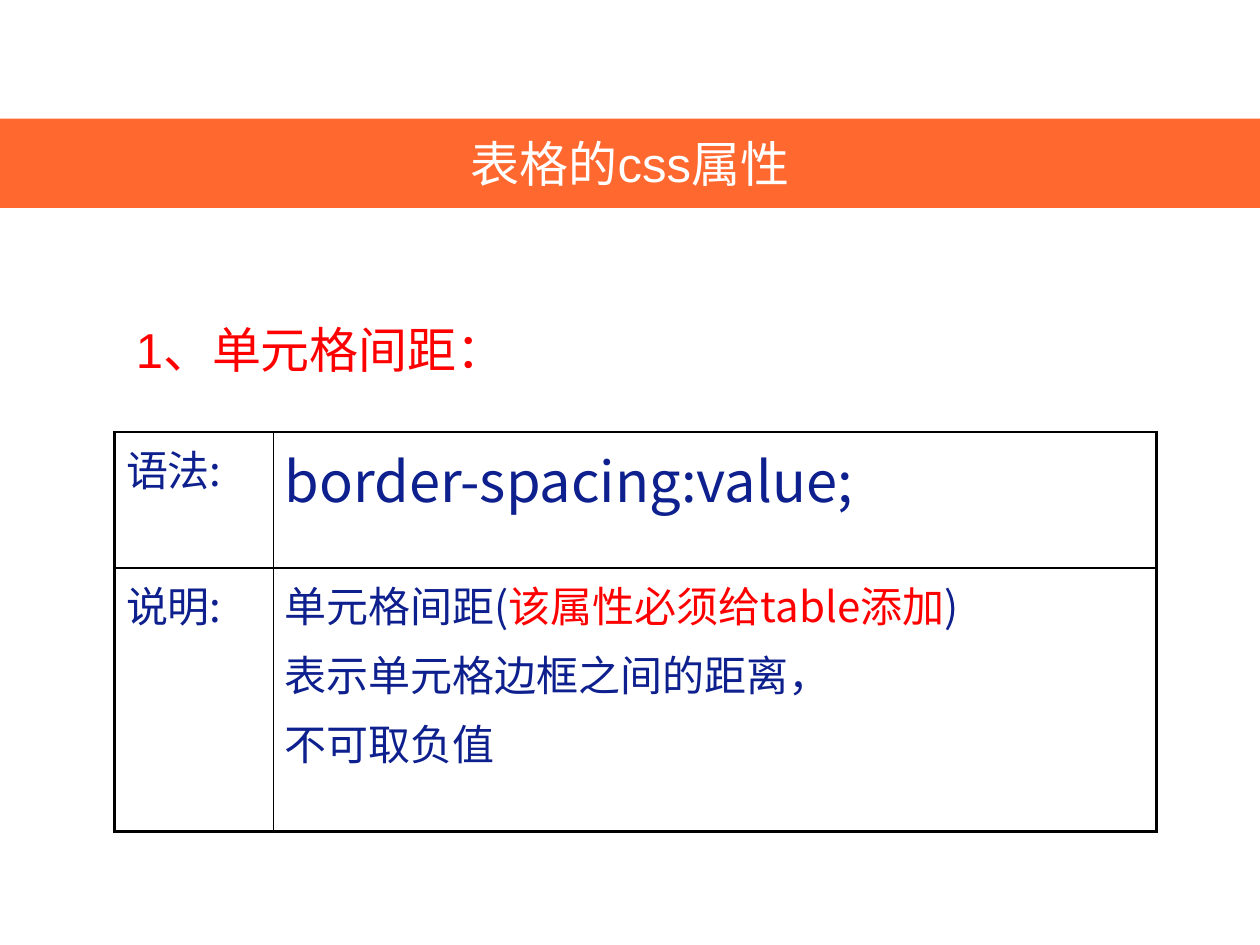
"""Build a slide on the CSS border-spacing property of tables."""
import pptx
import pptx.dml.color
import pptx.enum.text
import pptx.util
from lxml import etree

Cm, Pt = pptx.util.Cm, pptx.util.Pt
RGB = pptx.dml.color.RGBColor.from_string
ALIGN, ANCHOR = pptx.enum.text.PP_ALIGN, pptx.enum.text.MSO_ANCHOR
HUES = {"band": "FF682F", "white": "FFFFFF", "red": "FF0000", "navy": "0E208E", "black": "000000"}
NS = "http://schemas.openxmlformats.org/drawingml/2006/main"
CJK = "Noto Sans CJK SC"


def add_text(para, text, size=24, font=CJK, hue="navy", align=ALIGN.LEFT, gap=0):
    para.alignment = align
    para.space_before = Pt(gap * size)
    run = para.add_run()
    run.text = text
    run.font.size = Pt(size)
    run.font.name = font
    run.font.color.rgb = RGB(HUES[hue])
    etree.SubElement(run.font._element, f"{{{NS}}}ea", typeface=CJK)


def add_edge(cell, side, width, place):
    line = etree.Element(f"{{{NS}}}ln{side}", w=str(Pt(width)))
    fill = etree.SubElement(line, f"{{{NS}}}solidFill")
    etree.SubElement(fill, f"{{{NS}}}srgbClr", val=HUES["black"])
    cell._tc.get_or_add_tcPr().insert(place, line)


deck = pptx.Presentation()
deck.slide_width, deck.slide_height = Cm(25.4), Cm(19.05)
slide = deck.slides.add_slide(deck.slide_layouts[5])

title = slide.shapes.title
title.left, title.top, title.width, title.height = Cm(0), Cm(2.39), Cm(25.4), Cm(1.8)
title.fill.solid()
title.fill.fore_color.rgb = RGB(HUES["band"])
title.text_frame.vertical_anchor = ANCHOR.MIDDLE
add_text(title.text_frame.paragraphs[0], "表格的css属性", size=28, font="Arial", hue="white", align=ALIGN.CENTER)

rows = [
    [[[("语法:", "navy")]], [[("border-spacing:value;", "navy")]]],
    [
        [[("说明:", "navy")]],
        [
            [("单元格间距(", "navy"), ("该属性必须给table添加", "red"), (")", "navy")],
            [("表示单元格边框之间的距离，", "navy")],
            [("不可取负值", "navy")],
        ],
    ],
]
grid = slide.shapes.add_table(2, 2, Cm(2.31), Cm(8.71), Cm(21), Cm(8.05)).table
grid.first_row = grid.horz_banding = False
for col, width in zip(grid.columns, (3.2, 17.8)):
    col.width = Cm(width)
for row, height in zip(grid.rows, (2.74, 5.31)):
    row.height = Cm(height)

for r, row in enumerate(rows):
    for c, lines in enumerate(row):
        cell = grid.cell(r, c)
        cell.margin_left = cell.margin_right = Cm(0.23)
        cell.margin_top = cell.margin_bottom = Cm(0.11)
        cell.vertical_anchor = ANCHOR.TOP
        cell.fill.background()
        frame = cell.text_frame
        size = 32 if (r, c) == (0, 1) else 24
        for n, parts in enumerate(lines):
            para = frame.add_paragraph() if n else frame.paragraphs[0]
            for text, hue in parts:
                add_text(para, text, size=size, hue=hue, gap=0.2)
        thick = {"L": c == 0, "R": c == 1, "T": False, "B": r == 1}
        for place, (side, outer) in enumerate(thick.items()):
            add_edge(cell, side, 2.25 if outer else 1, place)

head = slide.shapes.add_textbox(Cm(2.49), Cm(6.32), Cm(20.47), Cm(1.45))
head.text_frame.word_wrap = True
add_text(head.text_frame.paragraphs[0], "1、单元格间距：", size=28, font="Arial", hue="red")

deck.save("out.pptx")
